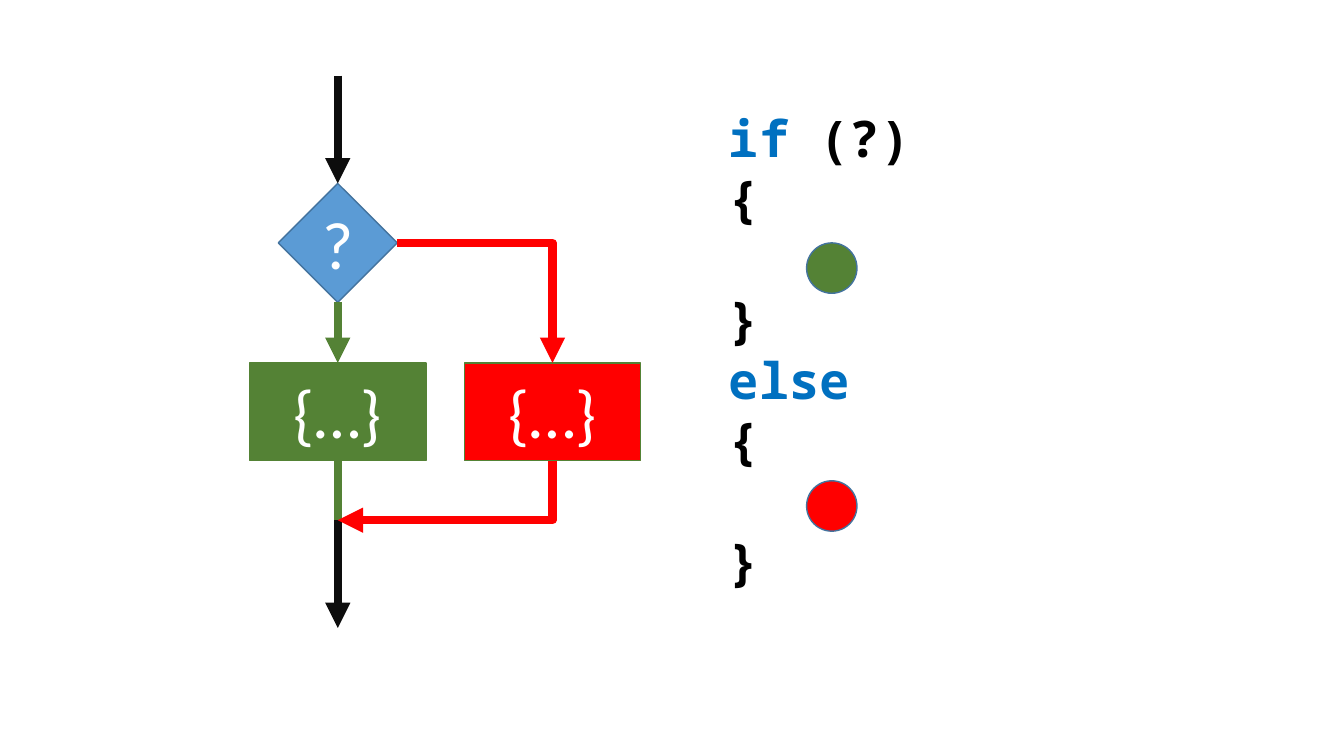
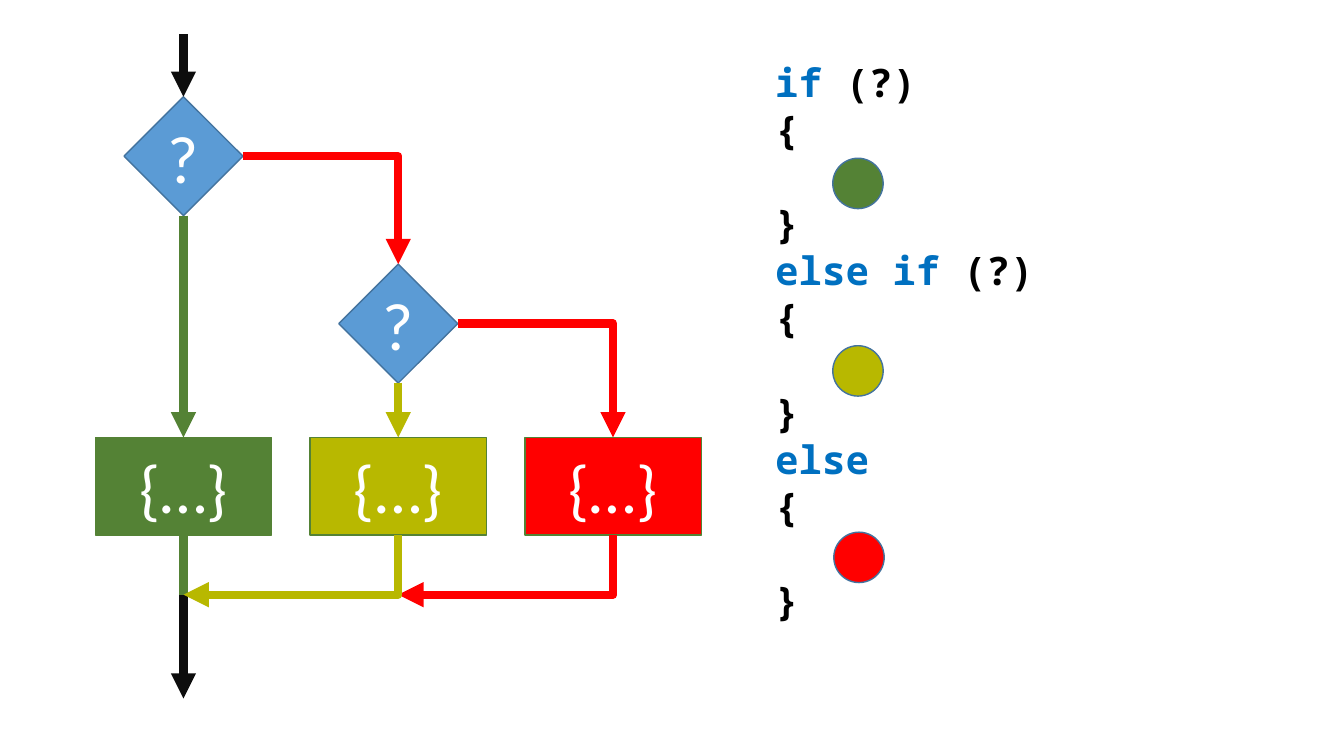
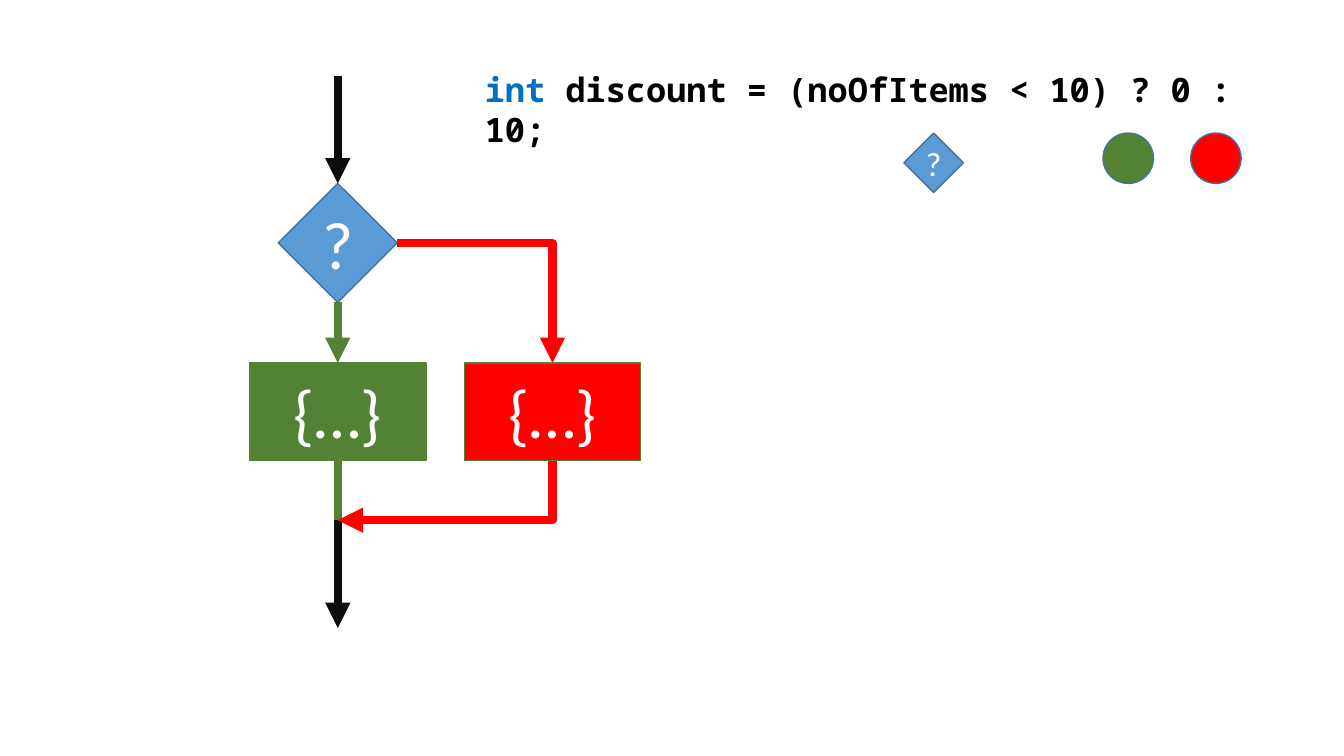
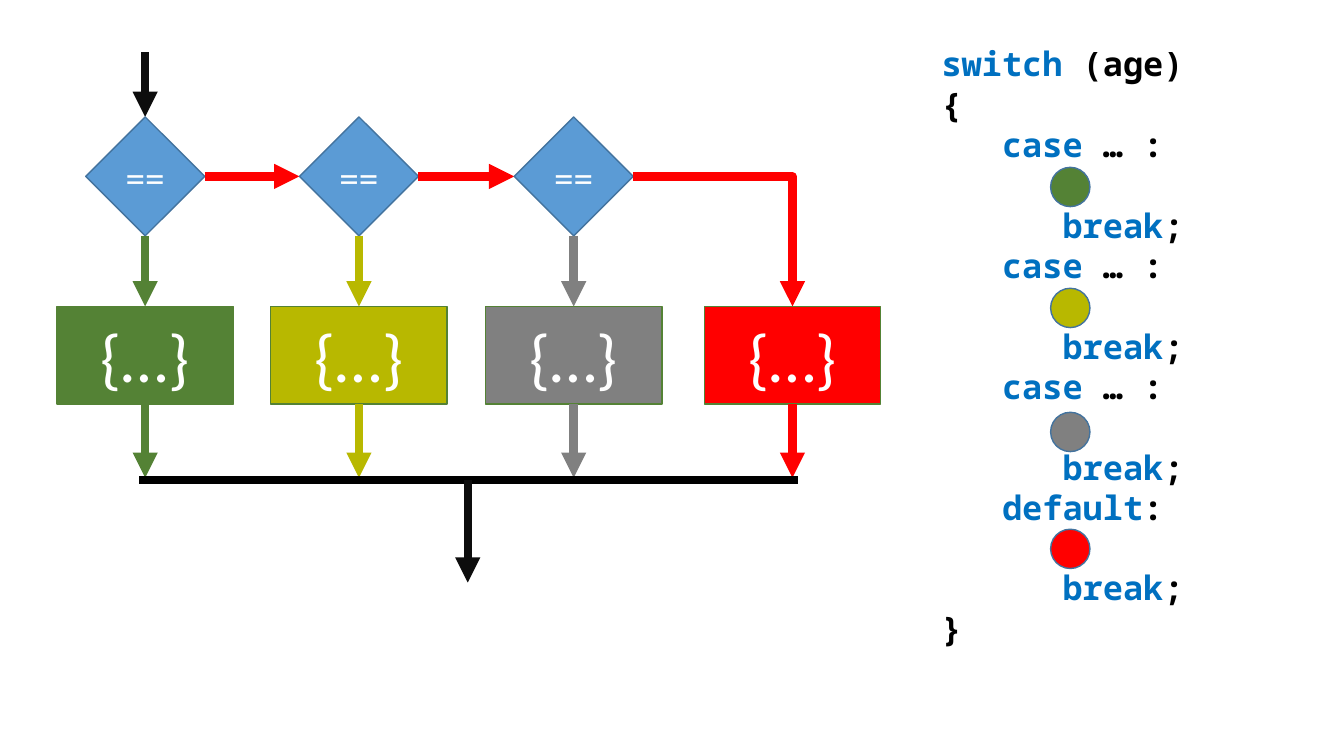
from lxml.etree import SubElement
from pptx import Presentation
from pptx.dml.color import RGBColor
from pptx.enum.shapes import MSO_CONNECTOR, MSO_SHAPE
from pptx.enum.text import MSO_ANCHOR, MSO_AUTO_SIZE, PP_ALIGN
from pptx.oxml.ns import qn
from pptx.util import Inches, Pt

# Colours and fonts
BLACK = RGBColor(0, 0, 0)
INK = RGBColor(0x0D, 0x0D, 0x0D)
WHITE = RGBColor(0xFF, 0xFF, 0xFF)
BLUE = RGBColor(0x5B, 0x9B, 0xD5)
EDGE = RGBColor(0x43, 0x73, 0x9E)
KEY = RGBColor(0x00, 0x70, 0xC0)
GREEN = RGBColor(0x54, 0x82, 0x35)
OLIVE = RGBColor(0xB8, 0xB8, 0x00)
GRAY = RGBColor(0x80, 0x80, 0x80)
RED = RGBColor(0xFF, 0, 0)
BODY, MONO = "Calibri", "Noto Sans Mono"

# Shared sizes in inches
GEM, BOX_W, BOX_H = 1.18, 1.75, 0.97
STEP = 2.13


# Code lines: indent level, then pieces of text with their colour
def block(color):
    return [(0, [("{", BLACK)]), (1, [("…", color)]), (0, [("}", BLACK)])]


def case(color, *head):
    return [(1, head), (2, [(";", color)]), (2, [("break", KEY), (";", BLACK)])]


COND = (" (?)", BLACK)
IF = (0, [("if", KEY), COND])
ELSE = (0, [("else", KEY)])
CASE = [("case", KEY), (" … :", BLACK)]

IF_ELSE = [IF, *block(GREEN), ELSE, *block(RED)]
ELSE_IF = [IF, *block(GREEN), (0, [("else if", KEY), COND]), *block(OLIVE),
           ELSE, *block(RED)]
TERNARY = [(0, [("int ", KEY),
                ("discount = (noOfItems < 10) ? 0 : 10;", BLACK)])]
SWITCH = [(0, [("switch", KEY), (" (age)", BLACK)]), (0, [("{", BLACK)]),
          *case(GREEN, *CASE), *case(OLIVE, *CASE), *case(GRAY, *CASE),
          *case(RED, ("default", KEY), (":", BLACK)), (0, [("}", BLACK)])]

# Dots beside the code: left, top, colour
IF_DOTS = [(8, 2.41, GREEN), (8, 4.77, RED)]
ELSE_DOTS = [(8.26, 1.57, GREEN), (8.26, 3.43, OLIVE), (8.27, 5.28, RED)]
TERN_DOTS = [(10.94, 1.32, GREEN), (11.81, 1.32, RED)]
CASE_DOTS = [(10.42, 1.66, GREEN), (10.42, 2.86, OLIVE),
             (10.42, 4.09, GRAY), (10.42, 5.25, RED)]

# Switch columns: centre, colour
CASES = [(1.44, GREEN), (3.56, OLIVE), (5.69, GRAY), (7.86, RED)]


# Shapes
def add(slide, kind, left, top, wide, high, fill, edge, text="", size=48):
    shape = slide.shapes.add_shape(
        kind, Inches(left), Inches(top), Inches(wide), Inches(high))
    shape.shadow.inherit = False
    shape.fill.solid()
    shape.fill.fore_color.rgb = fill
    shape.line.color.rgb = edge
    shape.line.width = Pt(1)
    if text:
        frame = shape.text_frame
        frame.text = text
        frame.word_wrap = False
        frame.vertical_anchor = MSO_ANCHOR.MIDDLE
        para = frame.paragraphs[0]
        para.alignment = PP_ALIGN.CENTER
        font = para.runs[0].font
        font.name, font.size, font.color.rgb = BODY, Pt(size), WHITE


def gem(slide, mid, top, text="?", size=48, wide=GEM):
    add(slide, MSO_SHAPE.DIAMOND, mid - wide / 2, top, wide, wide,
        BLUE, EDGE, text, size)


def box(slide, mid, top, fill):
    add(slide, MSO_SHAPE.RECTANGLE, mid - BOX_W / 2, top, BOX_W, BOX_H,
        fill, GREEN, "{…}")


def dots(slide, spots, size=0.5):
    for left, top, fill in spots:
        add(slide, MSO_SHAPE.FLOWCHART_CONNECTOR, left, top, size, size,
            fill, EDGE)


# Lines
def line(slide, x1, y1, x2, y2, color, head=True, kind=MSO_CONNECTOR.STRAIGHT):
    link = slide.shapes.add_connector(
        kind, Inches(x1), Inches(y1), Inches(x2), Inches(y2))
    link.line.color.rgb = color
    link.line.width = Pt(6)
    if head:
        SubElement(link.line._get_or_add_ln(), qn("a:tailEnd"), type="triangle")
    SubElement(link._element.spPr, qn("a:effectLst"))
    return link


def bend(slide, x1, y1, x2, y2, color):
    """Go right then down, or down then left when the end lies to the left."""
    back = x2 < x1
    if back:  # the same elbow, turned a quarter about its centre
        midx, midy = (x1 + x2) / 2, (y1 + y2) / 2
        wide, high = y2 - y1, x1 - x2
        x1, x2 = midx - wide / 2, midx + wide / 2
        y1, y2 = midy - high / 2, midy + high / 2
    link = line(slide, x1, y1, x2, y2, color, kind=MSO_CONNECTOR.ELBOW)
    props = link._element.spPr
    props.find(qn("a:prstGeom")).set("prst", "bentConnector2")
    if back:
        props.find(qn("a:xfrm")).set("rot", "5400000")


# Code text
def code(slide, left, top, wide, high, lines, size):
    area = slide.shapes.add_textbox(
        Inches(left), Inches(top), Inches(wide), Inches(high))
    frame = area.text_frame
    frame.word_wrap = True
    frame.auto_size = MSO_AUTO_SIZE.SHAPE_TO_FIT_TEXT
    for i, (depth, parts) in enumerate(lines):
        para = frame.add_paragraph() if i else frame.paragraphs[0]
        if depth:  # one level is three characters wide
            para._p.get_or_add_pPr().set("marL", str(Inches(depth * size / 40)))
        for text, color in parts:
            run = para.add_run()
            run.text = text
            font = run.font
            font.name, font.size, font.bold = MONO, Pt(size), True
            font.color.rgb = color


# Two-way branch, used on two slides
def fork(slide):
    mid, top, row, join = 3.35, 1.82, 3.6, 5.16
    side = mid + STEP
    gem(slide, mid, top)
    line(slide, mid, 0.75, mid, top, INK)
    line(slide, mid, top + GEM, mid, row, GREEN)
    box(slide, mid, row, GREEN)
    line(slide, mid, row + BOX_H, mid, join, GREEN, head=False)
    line(slide, mid, join, mid, 6.23, INK)
    box(slide, side, row, RED)
    bend(slide, mid + GEM / 2, top + GEM / 2, side, row, RED)
    bend(slide, side, row + BOX_H, mid, join, RED)


deck = Presentation()
deck.slide_width, deck.slide_height = Inches(13.33), Inches(7.5)


def page():
    return deck.slides.add_slide(deck.slide_layouts[6])


# Slide 1: if and else
slide = page()
fork(slide)
code(slide, 7.13, 1.01, 5.53, 4.95, IF_ELSE, 36)
dots(slide, IF_DOTS)

# Slide 2: else if
slide = page()
code(slide, 7.59, 0.53, 5.06, 5.76, ELSE_IF, 28)
dots(slide, ELSE_DOTS)
one, two, three = (1.82 + STEP * i for i in range(3))
top, low, row, join = 0.96, 2.62, 4.34, 5.9
half, foot = GEM / 2, row + BOX_H
gem(slide, one, top)
line(slide, one, 0.34, one, top, INK)
line(slide, one, top + GEM, one, row, GREEN)
line(slide, one, foot, one, join, GREEN, head=False)
line(slide, one, join, one, 6.93, INK)
gem(slide, two, low)
line(slide, two, low + GEM, two, row, OLIVE)
for mid, fill in zip((one, two, three), (GREEN, OLIVE, RED)):
    box(slide, mid, row, fill)
bend(slide, one + half, top + half, two, low, RED)
bend(slide, two + half, low + half, three, row, RED)
bend(slide, three, foot, two, join, RED)
bend(slide, two, foot, one, join, OLIVE)

# Slide 3: conditional operator
slide = page()
fork(slide)
code(slide, 4.71, 0.63, 7.96, 0.5, TERNARY, 24)
dots(slide, TERN_DOTS)
gem(slide, 9.26, 1.32, size=24, wide=GEM / 2)

# Slide 4: switch
slide = page()
code(slide, 9.24, 0.38, 3.67, 6.16, SWITCH, 24)
dots(slide, CASE_DOTS, 0.39)
top, row, bar = 1.16, 3.04, 4.76
level = top + half
first, last = CASES[0][0], CASES[-1][0]
line(slide, first, 0.52, first, top, INK)
for i, (mid, color) in enumerate(CASES):
    box(slide, mid, row, color)
    line(slide, mid, row + BOX_H, mid, bar - 0.02, color)
    if mid == last:
        continue
    gem(slide, mid, top, "==", 28)
    line(slide, mid, top + GEM, mid, row, color)
    after = CASES[i + 1][0]
    if after == last:
        bend(slide, mid + half, level, after, row, RED)
    else:
        line(slide, mid + half, level, after - half, level, RED)
line(slide, first - 0.06, bar, last + 0.05, bar, BLACK, head=False)
line(slide, 4.64, bar, 4.64, 5.78, INK)

deck.save("out.pptx")
